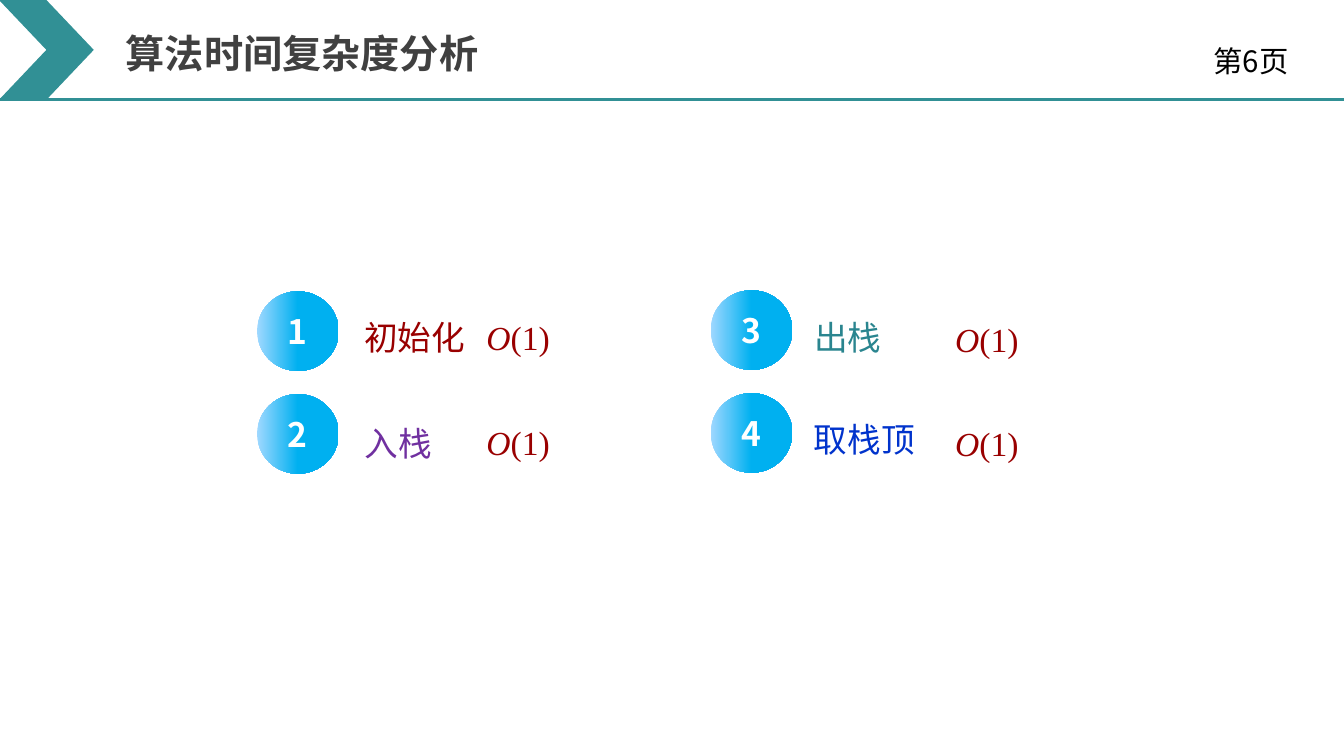
from dataclasses import dataclass

from lxml.etree import SubElement
from pptx import Presentation
from pptx.dml.color import RGBColor
from pptx.enum.shapes import MSO_CONNECTOR as Connector, MSO_SHAPE as Preset
from pptx.enum.text import MSO_ANCHOR as Anchor, MSO_AUTO_SIZE as AutoSize, PP_ALIGN as Align
from pptx.oxml.ns import qn
from pptx.shapes.autoshape import Shape
from pptx.slide import Slide
from pptx.text.text import TextFrame
from pptx.util import Inches, Pt

SLIDE_WIDTH, SLIDE_HEIGHT = Inches(13.33), Inches(7.5)
COLUMNS, ROWS = 160, 90


@dataclass(frozen=True)
class Theme:
    teal: str = "319095"
    ink: str = "000000"
    heading: str = "404040"
    white: str = "FFFFFF"
    cost: str = "990000"
    ball_stops: tuple[tuple[float, str], ...] = ((0, "9FD8FF"), (0.5, "00B0F0"))
    sans: str = "Noto Sans CJK SC"
    serif: str = "Times New Roman"
    title_size: float = 28
    body_size: float = 24
    page_size: float = 21
    rule_width: float = 2.25


@dataclass(frozen=True)
class Area:
    left: float
    top: float
    width: float
    height: float

    def emu(self) -> tuple[int, int, int, int]:
        return across(self.left), down(self.top), across(self.width), down(self.height)


@dataclass(frozen=True)
class Style:
    color: str
    size: float
    font: str
    bold: bool = False
    italic: bool = False


@dataclass(frozen=True)
class Side:
    ball_left: float
    ball_top: float
    label_left: float
    cost_left: float


@dataclass(frozen=True)
class Operation:
    number: int
    name: str
    color: str
    side: Side
    row: int
    label_top: float
    cost_top: float
    cost_height: float = 7.56


THEME = Theme()
HEADER_ROW = 11.88
BALL_WIDTH, BALL_HEIGHT, BALL_STEP = 9.72, 9.48, 12.24
LABEL_PADDING, CHARACTER_WIDTH, LABEL_HEIGHT = 2.64, 3.96, 7.68
COST_WIDTH = 10.08
LEFT = Side(30.6, 34.68, 42.12, 56.64)
RIGHT = Side(84.6, 34.56, 95.64, 112.44)
OPERATIONS = (
    Operation(1, "初始化", "990000", LEFT, 0, 34.68, 34.68),
    Operation(2, "入栈", "7030A0", LEFT, 1, 47.4, 47.28),
    Operation(3, "出栈", "2A858F", RIGHT, 0, 34.68, 34.92, 8.52),
    Operation(4, "取栈顶", "0033CC", RIGHT, 1, 46.92, 47.4),
)


def across(columns: float) -> int:
    return round(SLIDE_WIDTH * columns / COLUMNS)


def down(rows: float) -> int:
    return round(SLIDE_HEIGHT * rows / ROWS)


def apply_format(target: object, values: dict[str, object]) -> None:
    for attribute, value in values.items():
        setattr(target, attribute, value)


def write(frame: TextFrame, pieces: list[tuple[str, Style]], **layout: object) -> None:
    paragraph = frame.paragraphs[0]
    apply_format(paragraph, layout)
    for wording, style in pieces:
        run = paragraph.add_run()
        run.text = wording
        apply_format(run.font, {
            "name": style.font,
            "size": Pt(style.size),
            "bold": style.bold,
            "italic": style.italic,
        })
        run.font.color.rgb = RGBColor.from_string(style.color)
        SubElement(run.font._element, qn("a:ea"), typeface=style.font)


def add_label(slide: Slide, area: Area, pieces: list[tuple[str, Style]],
              frame_format: dict[str, object], **layout: object) -> None:
    frame = slide.shapes.add_textbox(*area.emu()).text_frame
    apply_format(frame, frame_format)
    write(frame, pieces, **layout)


def add_plain_shape(slide: Slide, preset: Preset, area: Area) -> Shape:
    shape = slide.shapes.add_shape(preset, *area.emu())
    shape.shadow.inherit = False
    shape.line.fill.background()
    return shape


def add_header(slide: Slide) -> None:
    rule = slide.shapes.add_connector(
        Connector.STRAIGHT, 0, down(HEADER_ROW), across(COLUMNS), down(HEADER_ROW))
    rule.line.color.rgb = RGBColor.from_string(THEME.teal)
    rule.line.width = Pt(THEME.rule_width)
    SubElement(rule._element.spPr, qn("a:effectLst"))

    chevron = add_plain_shape(slide, Preset.CHEVRON, Area(-0.12, 0, 11.28, HEADER_ROW))
    chevron.fill.solid()
    chevron.fill.fore_color.rgb = RGBColor.from_string(THEME.teal)

    add_label(slide, Area(143.28, 4.56, 14.28, 4.8),
              [("第6页", Style(THEME.ink, THEME.page_size, THEME.sans))],
              {"word_wrap": True})
    add_label(slide, Area(13.8, 2.88, 51.96, 6.84),
              [("算法时间复杂度分析", Style(THEME.heading, THEME.title_size, THEME.sans, bold=True))],
              {"word_wrap": True, "auto_size": AutoSize.SHAPE_TO_FIT_TEXT})


def add_operation(slide: Slide, operation: Operation) -> None:
    side = operation.side
    ball = add_plain_shape(slide, Preset.OVAL, Area(
        side.ball_left, side.ball_top + operation.row * BALL_STEP, BALL_WIDTH, BALL_HEIGHT))
    ball.fill.gradient()
    ball.fill.gradient_angle = 0
    for stop, (position, color) in zip(ball.fill.gradient_stops, THEME.ball_stops):
        stop.position = position
        stop.color.rgb = RGBColor.from_string(color)
    ball.text_frame.vertical_anchor = Anchor.MIDDLE
    write(ball.text_frame,
          [(str(operation.number), Style(THEME.white, THEME.body_size, THEME.sans, bold=True))],
          alignment=Align.CENTER)

    label_width = LABEL_PADDING + CHARACTER_WIDTH * len(operation.name)
    label = (
        Area(side.label_left, operation.label_top, label_width, LABEL_HEIGHT),
        [(operation.name, Style(operation.color, THEME.body_size, THEME.sans))],
    )
    cost = (
        Area(side.cost_left, operation.cost_top, COST_WIDTH, operation.cost_height),
        [("O", Style(THEME.cost, THEME.body_size, THEME.serif, italic=True)),
         ("(1)", Style(THEME.cost, THEME.body_size, THEME.serif))],
    )
    for area, pieces in (label, cost):
        add_label(slide, area, pieces,
                  {"word_wrap": False, "auto_size": AutoSize.SHAPE_TO_FIT_TEXT},
                  alignment=Align.CENTER, line_spacing=1.5)


def main() -> None:
    deck = Presentation()
    apply_format(deck, {"slide_width": SLIDE_WIDTH, "slide_height": SLIDE_HEIGHT})
    slide = deck.slides.add_slide(deck.slide_layouts[6])
    add_header(slide)
    for operation in OPERATIONS:
        add_operation(slide, operation)
    deck.save("out.pptx")


if __name__ == "__main__":
    main()
